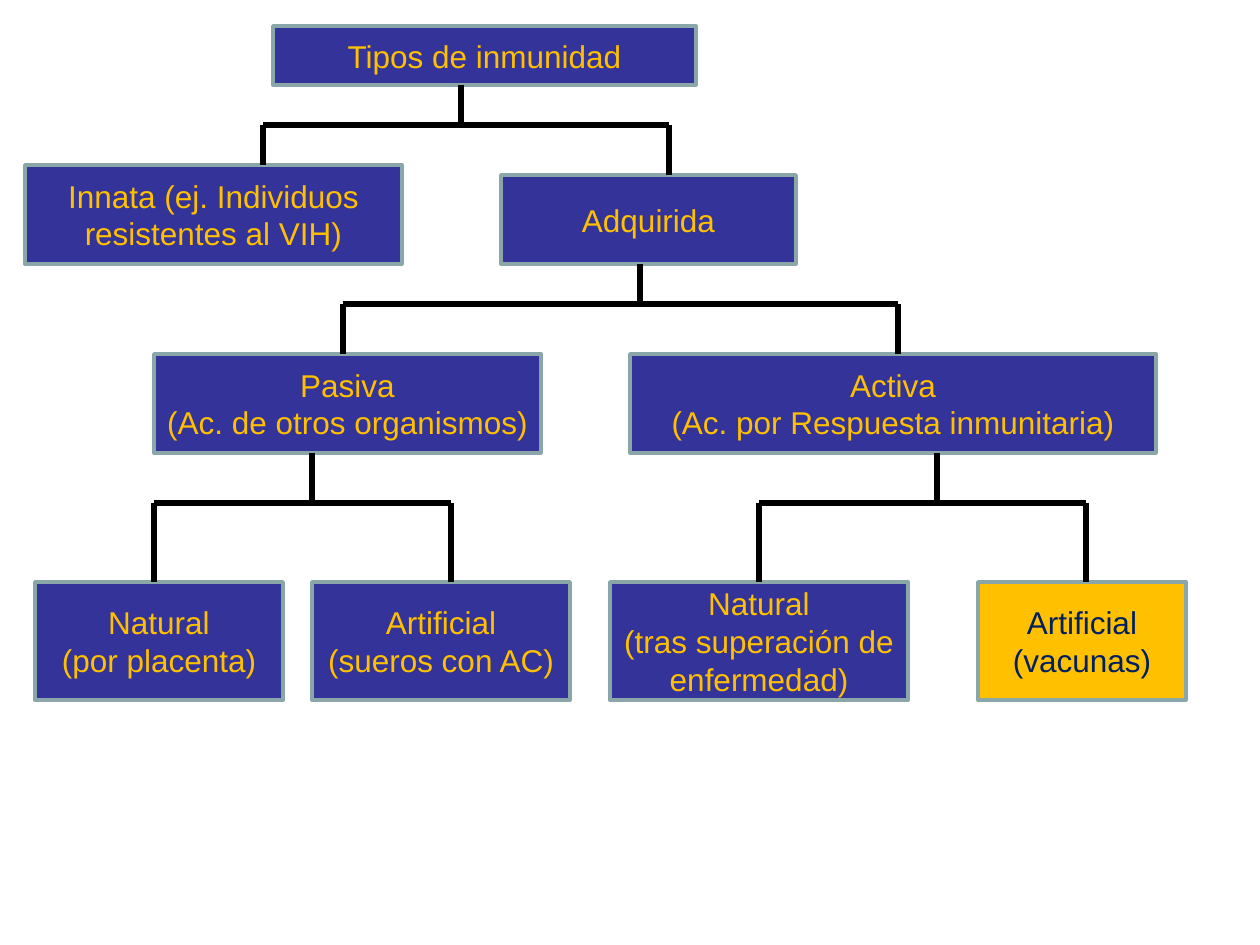
from dataclasses import dataclass

from pptx import Presentation
from pptx.dml.color import RGBColor
from pptx.enum.shapes import MSO_CONNECTOR, MSO_SHAPE
from pptx.enum.text import MSO_ANCHOR, MSO_AUTO_SIZE, PP_ALIGN
from pptx.oxml.ns import qn
from pptx.slide import Slide
from pptx.util import Emu, Pt
from lxml.etree import SubElement

INDIGO = RGBColor(0x33, 0x33, 0x99)
AMBER = RGBColor(0xFF, 0xC0, 0x00)
NAVY = RGBColor(0x00, 0x20, 0x60)
SAGE = RGBColor(0x8A, 0xA6, 0xA8)
BLACK = RGBColor(0x00, 0x00, 0x00)

PAGE_WIDTH, PAGE_HEIGHT = 1260, 945
EMU_PER_PX = 914400 / 126


def px(length):
    return Emu(round(length * EMU_PER_PX))


@dataclass
class TreeChart:
    page: Slide
    font: str = "Arial"
    size: int = 18
    border_width: int = 2
    branch_width: int = 3

    def title(self, text, area):
        self.style_box(self.page.shapes.title, [text], area, INDIGO, AMBER)

    def node(self, lines, area, fill=INDIGO, color=AMBER):
        box = self.page.shapes.add_shape(MSO_SHAPE.RECTANGLE, *map(px, area))
        box.shadow.inherit = False
        self.style_box(box, lines, area, fill, color)

    def style_box(self, box, lines, area, fill, color):
        for name, length in zip(("left", "top", "width", "height"), area):
            setattr(box, name, px(length))
        box.fill.solid()
        box.fill.fore_color.rgb = fill
        box.line.color.rgb = SAGE
        box.line.width = Pt(self.border_width)
        frame = box.text_frame
        frame_format = {
            "word_wrap": True,
            "auto_size": MSO_AUTO_SIZE.NONE,
            "vertical_anchor": MSO_ANCHOR.MIDDLE,
        }
        for name, value in frame_format.items():
            setattr(frame, name, value)
        frame.text = "\n".join(lines)
        for para in frame.paragraphs:
            para.alignment = PP_ALIGN.CENTER
            for span in para.runs:
                for name, value in {"name": self.font, "size": Pt(self.size)}.items():
                    setattr(span.font, name, value)
                span.font.color.rgb = color

    def line(self, *ends):
        connector = self.page.shapes.add_connector(MSO_CONNECTOR.STRAIGHT, *map(px, ends))
        connector.line.color.rgb = BLACK
        connector.line.width = Pt(self.branch_width)
        SubElement(connector.element.spPr, qn("a:effectLst"))

    def fork(self, stem_x, stem_top, bar_y, children):
        """Join a parent to its children, given as (x, top) from left to right."""
        self.line(stem_x, stem_top, stem_x, bar_y)
        self.line(children[0][0], bar_y, children[-1][0], bar_y)
        for x, top in children:
            self.line(x, bar_y, x, top)


def main():
    deck = Presentation()
    deck.slide_width, deck.slide_height = px(PAGE_WIDTH), px(PAGE_HEIGHT)
    chart = TreeChart(deck.slides.add_slide(deck.slide_layouts[5]))

    group_top, group_height = 354, 99
    leaf_top, leaf_height = 582, 118

    chart.title("Tipos de inmunidad", (273, 26, 423, 59))
    chart.node(["Innata (ej. Individuos resistentes al VIH)"], (25, 165, 377, 99))
    chart.node(["Adquirida"], (501, 175, 295, 89))

    groups = [
        (["Pasiva", "(Ac. de otros organismos)"], 154, 387),
        (["Activa", "(Ac. por Respuesta inmunitaria)"], 630, 526),
    ]
    for lines, left, width in groups:
        chart.node(lines, (left, group_top, width, group_height))

    leaves = [
        (["Natural", "(por placenta)"], 35, 248),
        (["Artificial", "(sueros con AC)"], 312, 258),
        (["Natural", "(tras superación de enfermedad)"], 610, 298),
    ]
    for lines, left, width in leaves:
        chart.node(lines, (left, leaf_top, width, leaf_height))
    chart.node(["Artificial", "(vacunas)"], (978, leaf_top, 208, leaf_height), AMBER, NAVY)

    chart.fork(461, 85, 125, [(263, 165), (669, 175)])
    chart.fork(640, 264, 304, [(343, group_top), (898, group_top)])
    for stem_x, leaf_xs in ((312, (154, 451)), (937, (759, 1086))):
        chart.fork(stem_x, group_top + group_height, 503, [(x, leaf_top) for x in leaf_xs])

    deck.save("out.pptx")


if __name__ == "__main__":
    main()
